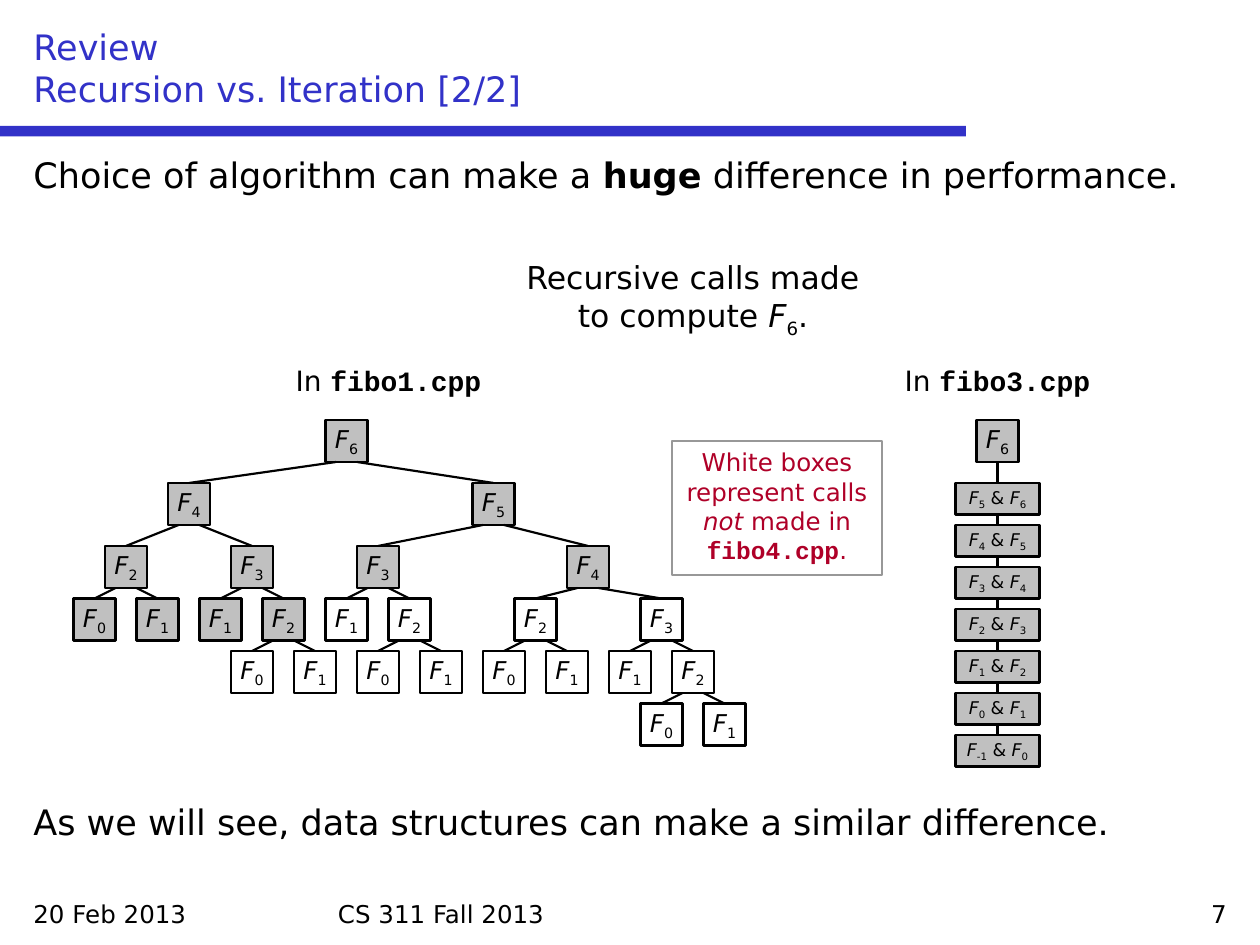
import dataclasses

import pptx
import pptx.dml.color
import pptx.enum.shapes
import pptx.enum.text
import pptx.oxml.ns
import pptx.util
from lxml import etree
from pptx.util import Inches

RGBColor = pptx.dml.color.RGBColor
Align = pptx.enum.text.PP_ALIGN
Anchor = pptx.enum.text.MSO_ANCHOR

BLACK = RGBColor(0x00, 0x00, 0x00)
WHITE = RGBColor(0xFF, 0xFF, 0xFF)
GRAY = RGBColor(0xC0, 0xC0, 0xC0)
EDGE = RGBColor(0x98, 0x98, 0x98)
BLUE = RGBColor(0x32, 0x32, 0xC8)
RED = RGBColor(0xAF, 0x00, 0x28)
SANS, MONO = "DejaVu Sans", "Courier New"


@dataclasses.dataclass(frozen=True)
class Span:
    """A piece of text; look is plain, bold, italic, sub or code."""
    text: str
    look: str = "plain"


@dataclasses.dataclass(frozen=True)
class Area:
    """A place on the slide, in twelfths of an inch."""
    left: float
    top: float
    width: float
    height: float


# Left and right reach of the child calls, by (number, row)
REACH = {(6, 0): (15, 14), (5, 1): (11, 9), (4, 1): (6, 6), (4, 2): (5, 7)}
ROWS = (40, 46, 52, 57, 62, 67)
SIDE = 4  # side of a square call box

deck = pptx.Presentation()
deck.slide_width, deck.slide_height = Inches(10), Inches(7.5)
slide = deck.slides.add_slide(deck.slide_layouts[6])


def unit(count: float) -> int:
    return Inches(count / 12)


def place(area: Area) -> tuple:
    return tuple(unit(v) for v in dataclasses.astuple(area))


def term(n: int) -> list:
    return [Span("F", "italic"), Span(str(n), "sub")]


def write(shape, *paras: list, size=14, color=BLACK, align=Align.LEFT,
          anchor=Anchor.TOP, wrap=True, gap=0) -> None:
    """Fill a shape with paragraphs of spans; gap parts the paragraphs."""
    frame = shape.text_frame
    frame.word_wrap = wrap
    frame.vertical_anchor = anchor
    for i, spans in enumerate(paras):
        para = frame.add_paragraph() if i else frame.paragraphs[0]
        para.alignment = align
        if i:
            para.space_before = pptx.util.Pt(gap)
        for span in spans:
            if span.text == "\n":
                para.add_line_break()
                continue
            run = para.add_run()
            run.text = span.text
            font = run.font
            font.size = pptx.util.Pt(size)
            font.color.rgb = color
            font.name = MONO if span.look == "code" else SANS
            font.bold = span.look in ("bold", "code")
            font.italic = span.look == "italic"
            if span.look == "sub":
                run._r.get_or_add_rPr().set("baseline", "-25000")


def label(area: Area, *paras: list, **form) -> None:
    write(slide.shapes.add_textbox(*place(area)), *paras, **form)


def box(area: Area, fill=None, edge=BLACK):
    shape = slide.shapes.add_shape(
        pptx.enum.shapes.MSO_SHAPE.RECTANGLE, *place(area))
    shape.shadow.inherit = False
    if fill is None:
        shape.fill.background()
    else:
        shape.fill.solid()
        shape.fill.fore_color.rgb = fill
    if edge is None:
        shape.line.fill.background()
    else:
        shape.line.color.rgb = edge
        shape.line.width = pptx.util.Pt(1.25)
    return shape


def link(x: float, y: float, end: float, base: float) -> None:
    line = slide.shapes.add_connector(
        pptx.enum.shapes.MSO_CONNECTOR.STRAIGHT,
        unit(x), unit(y), unit(end), unit(base))
    line.line.color.rgb = BLACK
    line.line.width = pptx.util.Pt(1.25)
    props = line._element.spPr
    etree.SubElement(props, pptx.oxml.ns.qn("a:effectLst"))


def call(area: Area, spans: list, fill: RGBColor, size: int = 14) -> None:
    write(box(area, fill), spans, size=size, align=Align.CENTER,
          anchor=Anchor.MIDDLE, wrap=False)


def square(n: int, x: float, top: float, fill: RGBColor) -> None:
    call(Area(x - SIDE / 2, top, SIDE, SIDE), term(n), fill)


def tree(n: int, x: float, row: int, made: bool, known: set) -> None:
    """Draw a call and those below it; calls under a known value are white."""
    top = ROWS[row]
    square(n, x, top, GRAY if made else WHITE)
    if n < 2:
        return
    left, right = REACH.get((n, row), (3, 3))
    below = made and n not in known
    for kid, side, end in ((n - 2, -1, x - left), (n - 1, 1, x + right)):
        link(x + side, top + SIDE, end, ROWS[row + 1])
        tree(kid, end, row + 1, below, known)
    known.add(n)


def chain(x: float) -> None:
    """Draw the single line of calls, each giving a pair of values."""
    square(6, x, ROWS[0], GRAY)
    link(x, ROWS[0] + SIDE, x, ROWS[1])
    for i, n in enumerate(range(5, -2, -1)):
        top = ROWS[1] + 4 * i
        pair = [*term(n), Span(" & "), *term(n + 1)]
        call(Area(x - 4, top, 8, 3), pair, GRAY, size=10)
        if n >= 0:
            link(x, top + 3, x, top + 4)


# Title and bar
box(Area(0, 12, 92, 1), BLUE, None)
label(Area(2, 2, 116, 9),
      [Span("Review"), Span("\n"), Span("Recursion vs. Iteration [2/2]")],
      size=20, color=BLUE, anchor=Anchor.BOTTOM)

# Body
label(Area(2, 14, 116, 70),
      [Span("Choice of algorithm can make a "), Span("huge", "bold"),
       Span(" difference in performance.")],
      [Span("As we will see, data structures can make a similar difference.")],
      size=20, gap=346)

# Call diagrams
tree(6, 33, 0, True, set())
chain(95)

# Captions
label(Area(47, 24, 38, 8.5),
      [Span("Recursive calls made to compute "), *term(6), Span(".")],
      size=18, align=Align.CENTER)
for left, name in ((25, "fibo1.cpp"), (83, "fibo3.cpp")):
    label(Area(left, 34, 24, 4.4), [Span("In "), Span(name, "code")],
          size=16, align=Align.CENTER)
write(box(Area(64, 42, 20, 12.8), edge=EDGE),
      [Span("White boxes represent calls "), Span("not", "italic"),
       Span(" made in "), Span("fibo4.cpp", "code"), Span(".")],
      color=RED, align=Align.CENTER)

# Footer
for left, width, text, align in (
        (2, 28, "20 Feb 2013", Align.LEFT),
        (31, 58, "CS 311 Fall 2013", Align.LEFT),
        (90, 28, "7", Align.RIGHT)):
    label(Area(left, 85, width, 4), [Span(text)], align=align)

deck.save("out.pptx")
